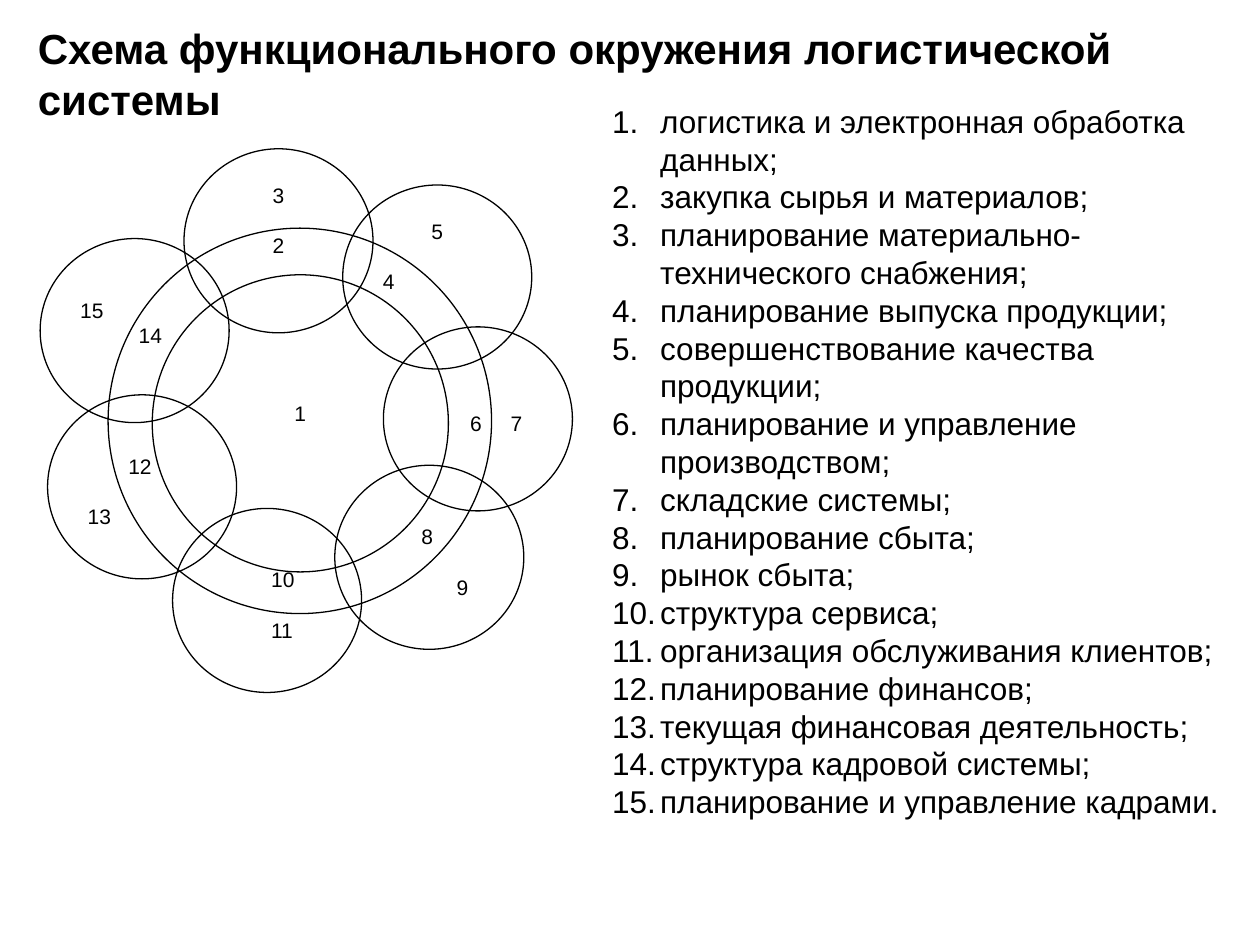
from lxml import etree
from pptx import Presentation
from pptx.dml.color import RGBColor
from pptx.enum import shapes, text
from pptx.oxml.ns import qn
from pptx.util import Cm, Pt

BLACK = RGBColor(0, 0, 0)
FONT = "Arial"
LEFT, CENTER = text.PP_ALIGN.LEFT, text.PP_ALIGN.CENTER
LINE = 14.4
CIRCLE_WIDTH, CIRCLE_HEIGHT = 3.81, 3.71

TITLE = "Схема функционального окружения логистической системы"
FUNCTIONS = [
    "логистика и электронная обработка данных;",
    "закупка сырья и материалов;",
    "планирование материально-технического снабжения;",
    "планирование выпуска продукции;",
    "совершенствование качества продукции;",
    "планирование и управление производством;",
    "складские системы;",
    "планирование сбыта;",
    "рынок сбыта;",
    "структура сервиса;",
    "организация обслуживания клиентов;",
    "планирование финансов;",
    "текущая финансовая деятельность;",
    "структура кадровой системы;",
    "планирование и управление кадрами.",
]
RINGS = [
    ((2.18, 4.6, 7.73, 7.77), 0, 0, []),
    ((3.07, 5.54, 5.97, 5.99), 3, 0, [("1", CENTER, [])]),
]
CIRCLES = [
    ((3.71, 3.0), 0, 1, [("3", CENTER, []), ("2", CENTER, [])]),
    ((6.91, 3.73), 0, 1, [("5", CENTER, []), ("4", LEFT, [])]),
    ((7.73, 6.59), 2, 0, [("\t6\t7", LEFT, [0.94, 1.76])]),
    ((6.75, 9.38), 1, 1, [("\t8", LEFT, [0.94]), ("\t9", LEFT, [1.65])]),
    ((0.81, 4.81), 1, 0, [("15", LEFT, []), ("\t14", LEFT, [1.18])]),
    ((0.96, 7.96), 1, 1, [("\t12", LEFT, [0.82]), ("13", LEFT, [])]),
    ((3.48, 10.25), 1, 1, [("\t10", LEFT, [1.18]), ("\t11", LEFT, [1.18])]),
]


def set_attributes(target, values):
    for name, value in values.items():
        setattr(target, name, value)


def add_text(paragraph, content, size, bold=False):
    run = paragraph.add_run()
    run.text = content
    set_attributes(run.font, {"name": FONT, "size": Pt(size), "bold": bold})
    run.font.color.rgb = BLACK


def add_tabs(paragraph, positions):
    tab_list = etree.SubElement(paragraph._p.get_or_add_pPr(), qn("a:tabLst"))
    for position in positions:
        etree.SubElement(tab_list, qn("a:tab"), pos=str(Cm(position)), algn="l")


def add_number(paragraph):
    properties = paragraph._p.get_or_add_pPr()
    properties.set("marL", str(Cm(0.97)))
    properties.set("indent", str(-Cm(0.97)))
    etree.SubElement(properties, qn("a:buFont"), typeface=FONT)
    etree.SubElement(properties, qn("a:buAutoNum"), type="arabicPeriod")


def add_circle(group, box, lines_above, lines_between, labels):
    shape = group.shapes.add_shape(shapes.MSO_SHAPE.OVAL, *map(Cm, box))
    shape.shadow.inherit = False
    shape.fill.background()
    shape.line.color.rgb = BLACK
    shape.line.width = Pt(0.75)
    frame = shape.text_frame
    set_attributes(frame, {
        "word_wrap": True,
        "vertical_anchor": text.MSO_ANCHOR.TOP,
        "margin_top": Cm(0.13) + Pt(lines_above * LINE),
    })
    for index, (label, alignment, tabs) in enumerate(labels):
        paragraph = frame.add_paragraph() if index else frame.paragraphs[0]
        paragraph.alignment = alignment
        if index and lines_between:
            paragraph.space_before = Pt(lines_between * LINE)
        if tabs:
            add_tabs(paragraph, tabs)
        add_text(paragraph, label, 12)


def add_diagram(slide):
    group = slide.shapes.add_group_shape()
    for ring in RINGS:
        add_circle(group, *ring)
    for position, *content in CIRCLES:
        add_circle(group, (*position, CIRCLE_WIDTH, CIRCLE_HEIGHT), *content)


def set_title(slide):
    title = slide.shapes.title
    set_attributes(title, {"left": Cm(0.51), "top": Cm(0.33),
                           "width": Cm(23.8), "height": Cm(2.29)})
    set_attributes(title.text_frame, {
        "word_wrap": True,
        "auto_size": text.MSO_AUTO_SIZE.NONE,
        "vertical_anchor": text.MSO_ANCHOR.TOP,
    })
    paragraph = title.text_frame.paragraphs[0]
    paragraph.alignment = LEFT
    add_text(paragraph, TITLE, 24, True)


def add_function_list(slide):
    box = slide.shapes.add_textbox(Cm(12.09), Cm(1.93), Cm(12.8), Cm(14.73))
    frame = box.text_frame
    frame.word_wrap = True
    for index, function in enumerate(FUNCTIONS):
        paragraph = frame.add_paragraph() if index else frame.paragraphs[0]
        add_number(paragraph)
        add_text(paragraph, function, 18)


def main():
    presentation = Presentation()
    presentation.slide_width = Cm(25.4)
    presentation.slide_height = Cm(19.05)
    slide = presentation.slides.add_slide(presentation.slide_layouts[5])
    add_diagram(slide)
    set_title(slide)
    add_function_list(slide)
    presentation.save("out.pptx")


if __name__ == "__main__":
    main()
